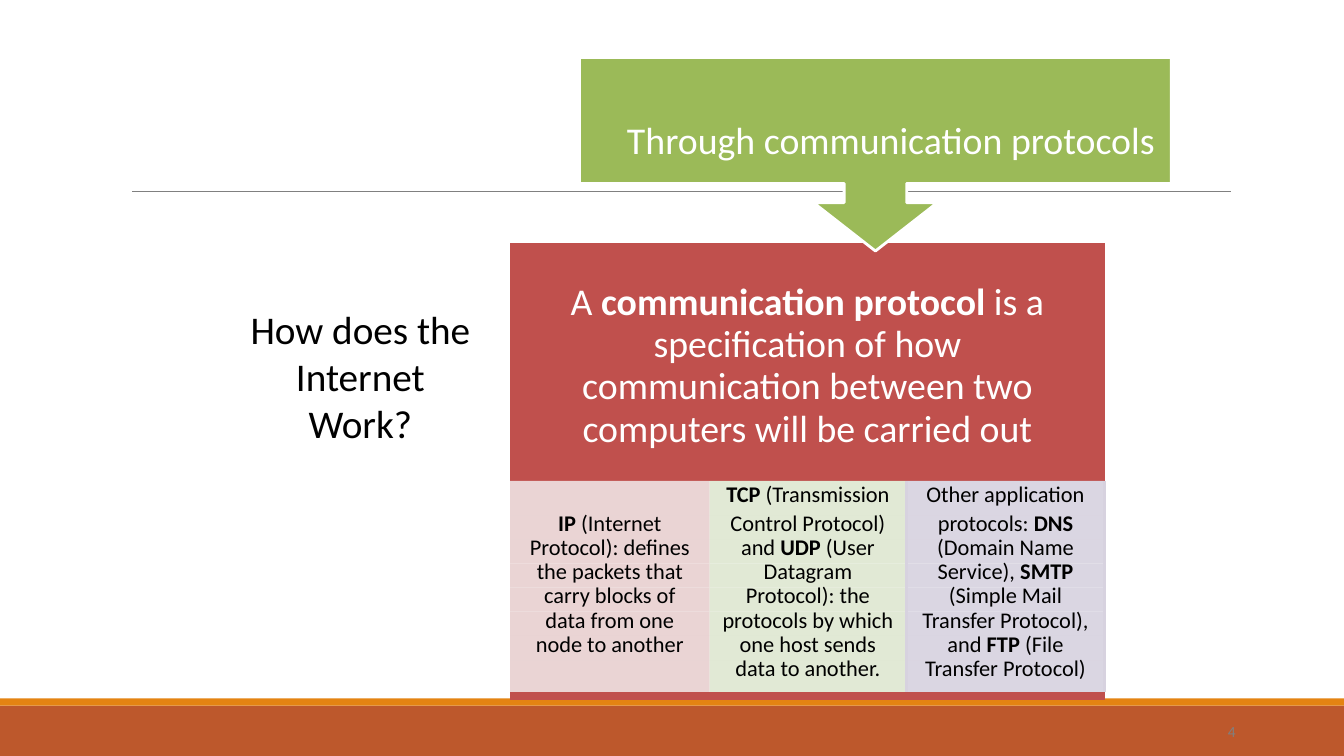
from lxml import etree
from pptx import Presentation
from pptx import util as u
from pptx.dml.color import RGBColor
from pptx.enum import shapes, text
from pptx.oxml import ns

UNIT = u.Inches(0.1)
WIDE, HIGH = 133.33, 75
FONT = "Calibri"
WHITE = RGBColor(0xFF, 0xFF, 0xFF)
BLACK = RGBColor(0, 0, 0)
GREY = RGBColor(0x80, 0x80, 0x80)
RUST = RGBColor(0xBD, 0x58, 0x2C)
ORANGE = RGBColor(0xE4, 0x83, 0x12)
GREEN = RGBColor(0x9B, 0xBA, 0x58)
RED = RGBColor(0xC0, 0x50, 0x4D)
PINK = RGBColor(0xE8, 0xD0, 0xD0)
PALE_GREEN = RGBColor(0xDE, 0xE7, 0xD1)
LILAC = RGBColor(0xD7, 0xD2, 0xDF)

DEFINITION = ("A **communication protocol** is a specification of how "
              "communication between two computers will be carried out")
IP_LINES = ["", "**IP** (Internet", "Protocol): defines", "the packets that",
            "carry blocks of", "data from one", "node to another", ""]
TCP_LINES = ["**TCP** (Transmission", "Control Protocol)", "and **UDP** (User",
             "Datagram", "Protocol): the", "protocols by which",
             "one host sends", "data to another."]
OTHER_LINES = ["Other application", "protocols: **DNS**", "(Domain Name",
               "Service), **SMTP**", "(Simple Mail", "Transfer Protocol),",
               "and **FTP** (File", "Transfer Protocol)"]
PROTOCOLS = [(IP_LINES, PINK, ()), (TCP_LINES, PALE_GREEN, ("a:lnR",)),
             (OTHER_LINES, LILAC, ("a:lnL", "a:lnR"))]
COLUMNS = [19.8, 19.5, 19.7]
ROWS = [23.6, 3.4] + [2.4] * 6 + [3.2, 0.8]
NO_STYLE = "{2D5ABB26-0587-4C30-8999-92F81FD0307C}"


def units(*counts):
    return [round(count * UNIT) for count in counts]


def set_margins(target, left=0, top=0, right=0, bottom=0):
    (target.margin_left, target.margin_top,
     target.margin_right, target.margin_bottom) = units(left, top, right, bottom)


def write(frame, words, size, color, align, spacing=None):
    para = frame.paragraphs[0]
    para.alignment = align
    para.line_spacing = spacing
    for index, part in enumerate(words.split("**")):
        if part:
            span = para.add_run()
            span.text = part
            span.font.name = FONT
            span.font.size = u.Pt(size)
            span.font.bold = index % 2 == 1
            span.font.color.rgb = color
    return para


def add_bar(page, top, height, color):
    bar = page.shapes.add_shape(shapes.MSO_SHAPE.RECTANGLE,
                                *units(0, top, WIDE, height))
    bar.shadow.inherit = False
    bar.fill.solid()
    bar.fill.fore_color.rgb = color
    bar.line.fill.background()


def add_rule(page, left, right, top):
    rule = page.shapes.add_connector(shapes.MSO_CONNECTOR.STRAIGHT,
                                     *units(left, top, right, top))
    rule.line.color.rgb = GREY
    rule.line.width = u.Pt(0.5)
    etree.SubElement(rule._element.spPr, ns.qn("a:effectLst"))


def add_callout(page, center, top):
    half = [(29.35, 0), (29.35, 12.5), (3.1, 12.5), (3.1, 14.4), (6.15, 14.4)]
    right = [(center + x, top + y) for x, y in half]
    left = [(center - x, top + y) for x, y in reversed(half)]
    start, *rest = [units(*point)
                    for point in right + [(center, top + 19.2)] + left]
    builder = page.shapes.build_freeform(*start)
    builder.add_line_segments(rest, close=True)
    callout = builder.convert_to_shape()
    callout.shadow.inherit = False
    callout.fill.solid()
    callout.fill.fore_color.rgb = GREEN
    callout.line.color.rgb = WHITE
    callout.line.width = u.Pt(2)


def add_text(page, place, words, size, color):
    box = page.shapes.add_textbox(*units(*place))
    box.text_frame.word_wrap = True
    set_margins(box.text_frame, top=0.1)
    write(box.text_frame, words, size, color, text.PP_ALIGN.CENTER)


def paint(cell, color, opacity=100):
    cell.fill.solid()
    cell.fill.fore_color.rgb = color
    if opacity < 100:
        tint = cell._tc.tcPr.find(".//" + ns.qn("a:srgbClr"))
        etree.SubElement(tint, ns.qn("a:alpha"), val=str(opacity * 1000))


def add_edges(cell, sides):
    for index, side in enumerate(sides):
        edge = etree.Element(ns.qn(side), w=str(u.Pt(2.25)))
        fill = etree.SubElement(edge, ns.qn("a:solidFill"))
        etree.SubElement(fill, ns.qn("a:srgbClr"), val=str(LILAC))
        cell._tc.tcPr.insert(index, edge)


def fill_cell(cell, words, color, opacity, sides=(), top=0):
    set_margins(cell, top=top)
    paint(cell, color, opacity)
    add_edges(cell, sides)
    if words:
        write(cell.text_frame, words, 16, BLACK, text.PP_ALIGN.CENTER, u.Pt(16))
    else:
        para = cell.text_frame.paragraphs[0]
        etree.SubElement(para._p, ns.qn("a:endParaRPr"), sz="100")


def add_protocol_table(page, left, top):
    frame = page.shapes.add_table(
        len(ROWS), len(COLUMNS), *units(left, top, sum(COLUMNS), sum(ROWS)))
    table = frame.table
    table.first_row = table.horz_banding = False
    table._tbl.tblPr.find(ns.qn("a:tableStyleId")).text = NO_STYLE
    for column, width in zip(table.columns, units(*COLUMNS)):
        column.width = width
    for row, height in zip(table.rows, units(*ROWS)):
        row.height = height
    header = table.cell(0, 0)
    header.merge(table.cell(0, len(COLUMNS) - 1))
    set_margins(header, 5, 3.8, 5)
    paint(header, RED)
    write(header.text_frame, DEFINITION, 27, WHITE, text.PP_ALIGN.CENTER, 0.92)
    for column, (lines, color, sides) in enumerate(PROTOCOLS):
        for row, words in enumerate(lines, 1):
            fill_cell(table.cell(row, column), words, color, 90, sides,
                      top=0.5 if row == 1 else 0)
        fill_cell(table.cell(len(ROWS) - 1, column), "", RED, 100)


def place_title(page, words):
    title = page.shapes.title
    title.left, title.top, title.width, title.height = units(25.8, 6.4, 115, 9.7)
    frame = title.text_frame
    frame.word_wrap = True
    frame.auto_size = text.MSO_AUTO_SIZE.NONE
    frame.vertical_anchor = text.MSO_ANCHOR.MIDDLE
    set_margins(frame, left=36.4, top=5.5)
    write(frame, words, 27, WHITE, text.PP_ALIGN.LEFT, u.Pt(29.6))
    page.shapes._spTree.append(title._element)


def main():
    deck = Presentation()
    deck.slide_width, deck.slide_height = units(WIDE, HIGH)
    page = deck.slides.add_slide(deck.slide_layouts[5])
    add_bar(page, 70, 5, RUST)
    add_bar(page, 69.3, 0.7, ORANGE)
    add_rule(page, 13.1, 122.1, 19)
    add_protocol_table(page, 50.6, 24.1)
    add_callout(page, 86.85, 5.7)
    place_title(page, "Through communication protocols")
    add_text(page, (24.7, 30.2, 22.1, 14.3),
             "How does the Internet Work?", 28, BLACK)
    add_text(page, (120.2, 71.5, 4, 2.2), "4", 11, GREY)
    deck.save("out.pptx")


if __name__ == "__main__":
    main()
